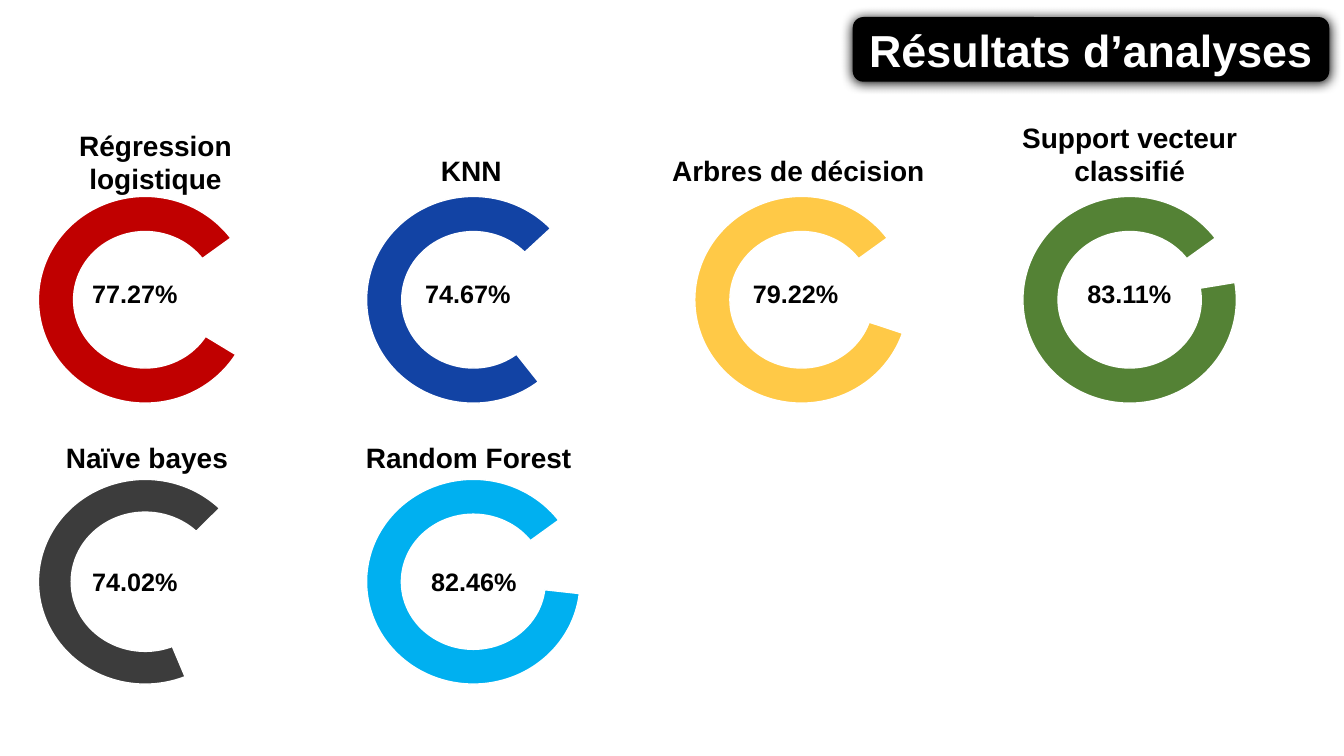
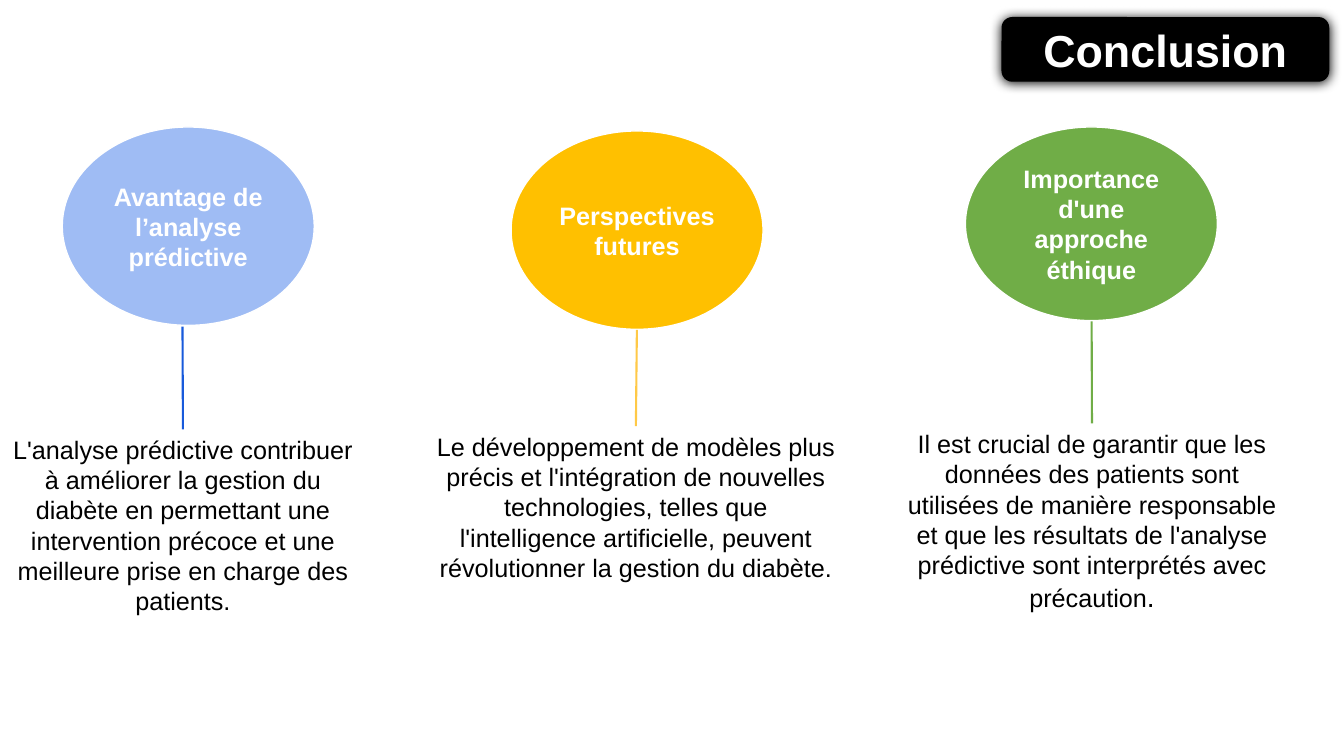
from lxml import etree
from pptx import Presentation
from pptx.dml.color import RGBColor
from pptx.enum.shapes import MSO_CONNECTOR, MSO_SHAPE
from pptx.enum.text import MSO_ANCHOR, MSO_AUTO_SIZE, PP_ALIGN
from pptx.oxml import parse_xml
from pptx.oxml.ns import qn
from pptx.util import Cm, Pt

FONT = "Arial"
COLORS = {
    "black": "000000", "white": "FFFFFF", "red": "C00000", "navy": "1243A4",
    "yellow": "FFC947", "dark green": "548235", "charcoal": "3C3C3C",
    "cyan": "00B0F0", "light blue": "9FBCF4", "gold": "FFC000",
    "green": "70AD47", "blue": "185ADB",
}
TITLE_SHADOW = (
    '<a:outerShdw xmlns:a="http://schemas.openxmlformats.org/drawingml/2006/main"'
    ' blurRad="107950" dist="12700" dir="5400000" algn="ctr" rotWithShape="0">'
    '<a:srgbClr val="000000"/></a:outerShdw>'
)


def rgb(name):
    return RGBColor.from_string(COLORS[name])


def add_run(paragraph, text, *, size=18, bold=False, color="black"):
    run = paragraph.add_run()
    run.text = text
    run.font.name = FONT
    run.font.size = Pt(size)
    run.font.bold = bold
    run.font.color.rgb = rgb(color)


def write_text(shape, text, *, align=PP_ALIGN.CENTER, anchor=MSO_ANCHOR.MIDDLE, **font):
    """Fill the shape with one paragraph and return that paragraph."""
    frame = shape.text_frame
    frame.word_wrap = True
    frame.vertical_anchor = anchor
    paragraph = frame.paragraphs[0]
    paragraph.alignment = align
    add_run(paragraph, text, **font)
    return paragraph


class Deck:
    """Holds the presentation, its style and the current slide."""

    RIGHT_EDGE = 33.5

    def __init__(self):
        self.presentation = Presentation()
        self.presentation.slide_width = Cm(33.87)
        self.presentation.slide_height = Cm(19.05)
        self.slide = None

    def new_slide(self, title, title_width):
        self.slide = self.presentation.slides.add_slide(self.presentation.slide_layouts[6])
        band = self.shape(MSO_SHAPE.ROUNDED_RECTANGLE, self.RIGHT_EDGE - title_width,
                          0.43, title_width, 1.63, "black", outline=False)
        effects = band._element.spPr.find(qn("a:effectLst"))
        effects.append(parse_xml(TITLE_SHADOW))
        write_text(band, title, size=32, bold=True, color="white")

    def shape(self, kind, left, top, width, height, fill, outline=True):
        shape = self.slide.shapes.add_shape(kind, Cm(left), Cm(top), Cm(width), Cm(height))
        shape.shadow.inherit = False
        shape.fill.solid()
        shape.fill.fore_color.rgb = rgb(fill)
        if outline:
            shape.line.color.rgb = rgb("white")
            shape.line.width = Pt(1)
        else:
            shape.line.fill.background()
        return shape

    def text(self, text, left, top, width, height, **style):
        box = self.slide.shapes.add_textbox(Cm(left), Cm(top), Cm(width), Cm(height))
        paragraph = write_text(box, text, anchor=MSO_ANCHOR.TOP, **style)
        box.text_frame.auto_size = MSO_AUTO_SIZE.SHAPE_TO_FIT_TEXT
        return box, paragraph

    def label(self, text, left, top, width, height):
        box = self.shape(MSO_SHAPE.RECTANGLE, left, top, width, height, "white")
        write_text(box, text, size=20, bold=True)

    def gauge(self, left, top, height, color, start, end, thickness):
        """Draw an open ring running clockwise between two angles in degrees."""
        ring = self.shape(MSO_SHAPE.BLOCK_ARC, left, top, 5.38, height, color)
        # Angles are stored in 60000ths of a degree, adjustments in 100000ths.
        ring.adjustments[0] = start * 0.6
        ring.adjustments[1] = end * 0.6
        ring.adjustments[2] = thickness

    def circle(self, text, left, top, height, color):
        circle = self.shape(MSO_SHAPE.FLOWCHART_CONNECTOR, left, top, 6.35, height, color)
        write_text(circle, text, bold=True, color="white")

    def line_to(self, box, start_x, start_y, color):
        """Draw a line from a point to the middle of the top of a box."""
        line = self.slide.shapes.add_connector(
            MSO_CONNECTOR.STRAIGHT, Cm(start_x), Cm(start_y), Cm(start_x), box.top)
        line.end_connect(box, 0)
        line.line.color.rgb = rgb(color)
        line.line.width = Pt(1.5)
        etree.SubElement(line._element.spPr, qn("a:effectLst"))


def add_results(deck):
    deck.new_slide("Résultats d’analyses", 12.01)
    first_left, column_step, value_width = 0.97, 8.27, 3
    rows = [(4.95, 5.21, 6.88), (12.08, 5.16, 14.15)]  # ring top, ring height, value top
    # row, column, color, start, end, thickness, value, middle of value
    gauges = [
        (0, 0, "red", 31.19, 324.25, 0.17, "77.27%", 3.4),
        (0, 1, "navy", 51.59, 317.26, 0.17, "74.67%", 11.79),
        (0, 2, "yellow", 18.32, 324.25, 0.17, "79.22%", 20.05),
        (0, 3, "dark green", 350.65, 324.25, 0.17, "83.11%", 28.46),
        (1, 0, "charcoal", 67.22, 315.35, 0.16, "74.02%", 3.4),
        (1, 1, "cyan", 6.38, 324.25, 0.17, "82.46%", 11.94),
    ]
    for row, column, color, start, end, thickness, value, middle in gauges:
        top, height, value_top = rows[row]
        deck.gauge(first_left + column * column_step, top, height, color, start, end, thickness)
        deck.text(value, middle - value_width / 2, value_top, value_width, 1.03, bold=True)

    deck.label("Régression logistique", 0.02, 3.2, 7.8, 1.75)
    deck.label("KNN", 8.61, 3.61, 6.53, 1.35)
    deck.label("Arbres de décision", 16.64, 3.61, 6.96, 1.35)
    deck.label("Support vecteur classifié", 24.61, 3.2, 7.72, 1.35)
    deck.text("Naïve bayes", 1.24, 10.97, 4.93, 1.11, size=20, bold=True)
    deck.text("Random Forest", 8.97, 10.97, 5.94, 1.11, size=20, bold=True,
              align=PP_ALIGN.LEFT)


def add_conclusion(deck):
    deck.new_slide("Conclusion", 8.26)
    # circle: text, left, top, height, color; line: x, y, color; body: text, box
    topics = [
        (("Avantage de l’analyse prédictive", 1.57, 3.2, 5, "light blue"),
         (4.6, 8.23, "blue"),
         ("L'analyse prédictive contribuer à améliorer la gestion du diabète en "
          "permettant une intervention précoce et une meilleure prise en charge "
          "des patients.", 0, 10.82, 9.22, 4.88)),
        (("Perspectives futures", 12.88, 3.3, 5, "gold"),
         (16.05, 8.31, "yellow"),
         ("Le développement de modèles plus précis et l'intégration de nouvelles "
          "technologies, telles que l'intelligence artificielle, peuvent "
          "révolutionner la gestion du diabète.", 10.69, 10.74, 10.67, 4.88)),
        (("Importance d'une approche éthique", 24.33, 3.2, 4.88, "green"),
         (27.51, 8.1, "green"),
         ("Il est crucial de garantir que les données des patients sont utilisées "
          "de manière responsable et que les résultats de l'analyse prédictive "
          "sont interprétés avec précaution", 22.4, 10.67, 10.24, 4.95)),
    ]
    for circle, (line_x, line_y, line_color), body in topics:
        deck.circle(*circle)
        box, paragraph = deck.text(*body)
        deck.line_to(box, line_x, line_y, line_color)
    add_run(paragraph, ".", size=20)


def main():
    deck = Deck()
    add_results(deck)
    add_conclusion(deck)
    deck.presentation.save("out.pptx")


if __name__ == "__main__":
    main()
